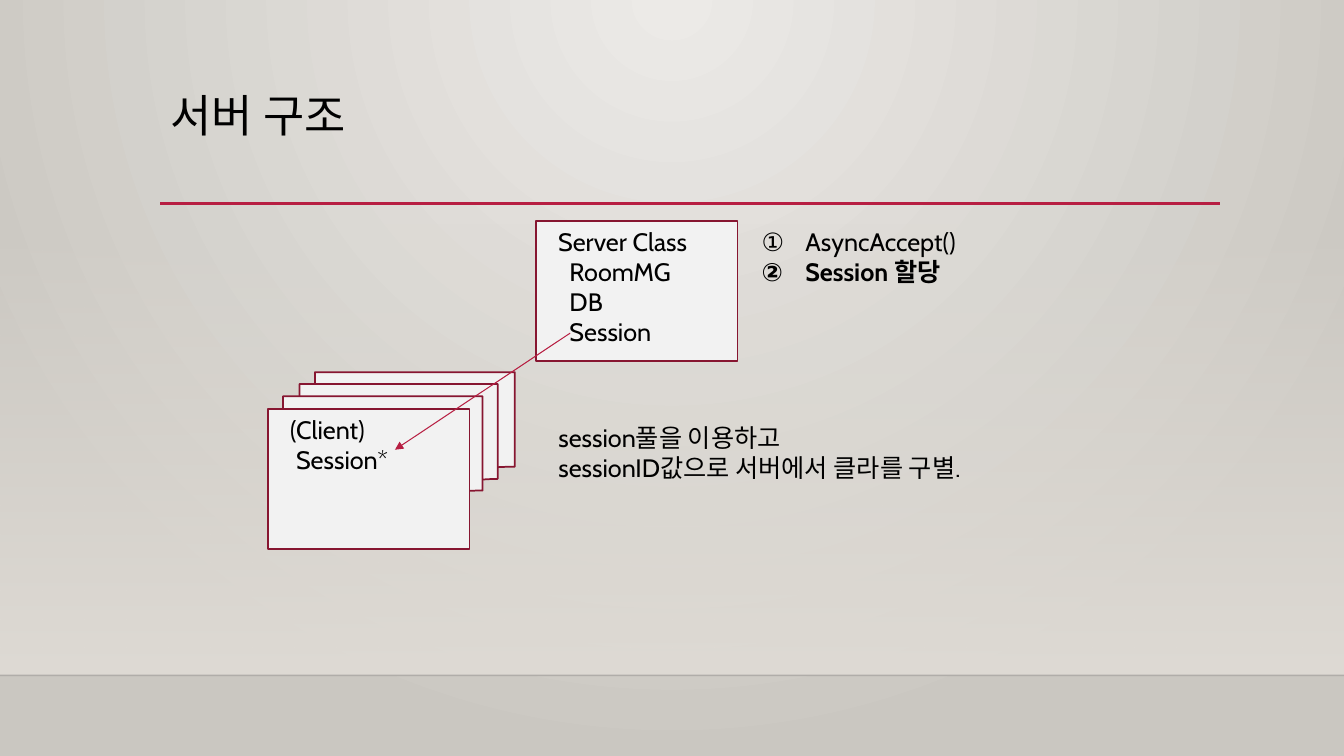
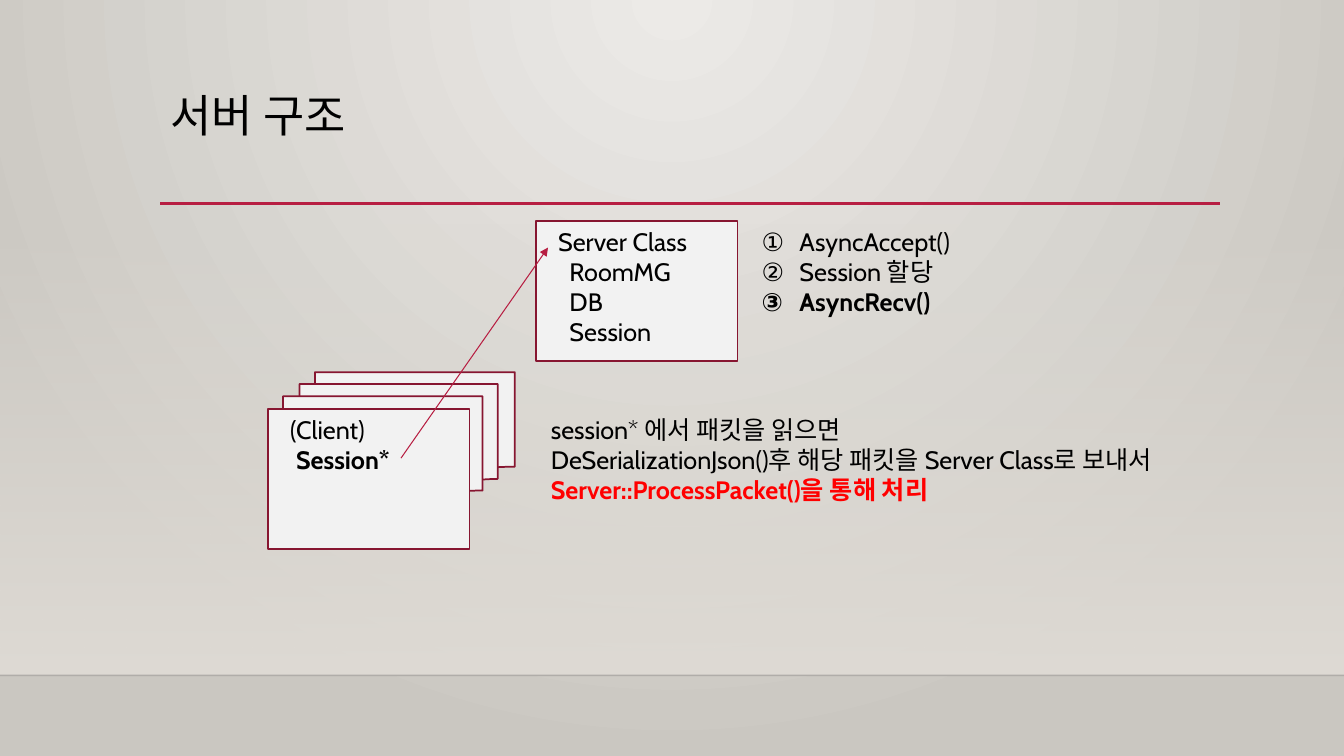
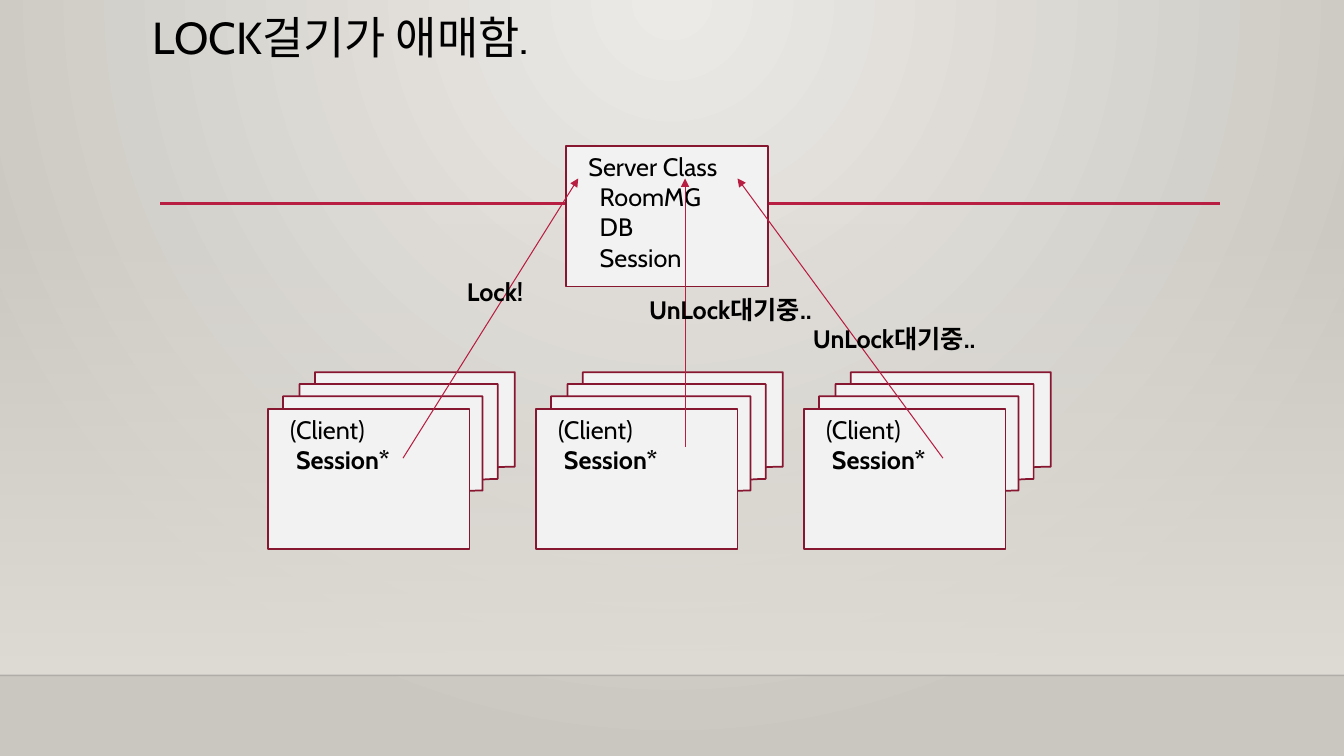
from dataclasses import dataclass

from pptx import Presentation
from pptx.dml.color import RGBColor
from pptx.enum.shapes import MSO_CONNECTOR as Connector, MSO_SHAPE as Preset
from pptx.enum.text import MSO_ANCHOR as Anchor, MSO_AUTO_SIZE as AutoSize, PP_ALIGN as Align
from pptx.oxml import parse_xml
from pptx.oxml.ns import nsdecls, qn
from pptx.oxml.xmlchemy import OxmlElement as make_element
from pptx.util import Inches, Pt

COLUMNS, ROWS = 160, 90
CELL = Inches(1) / 12
FONT = "Cabin"
BLACK, RED = "000000", "FF0000"
ACCENT, BORDER, PANEL = "B71E42", "871631", "F2F2F2"
TITLE_ONLY = 5


@dataclass
class Box:
    """A rectangle in columns and rows of the slide grid."""
    left: float
    top: float
    width: float
    height: float

    def emu(self):
        """Return the rectangle in slide units."""
        return [grid(value) for value in (self.left, self.top, self.width, self.height)]

    def at(self, across, down):
        """Return the point at these shares of the width and height."""
        return self.left + across * self.width, self.top + down * self.height


@dataclass
class Line:
    """One paragraph with its look."""
    text: str
    bold: bool = False
    color: str = BLACK
    indent: float = 0
    hanging: float = 0


TITLE_BOX = Box(19.1, 10.6, 126, 13.8)
SERVER_LINES = [Line("Server Class")] + [
    Line(member, indent=1.35) for member in ("RoomMG", "DB", "Session")]


def grid(cells):
    """Turn grid cells into slide units."""
    return round(cells * CELL)


def rgb(color):
    """Turn a hex string into a colour."""
    return RGBColor.from_string(color)


def paint_gradient(parent, stops, direction):
    """Replace the solid fill in parent by a gradient of (place, colour, opacity) stops."""
    marks = "".join(
        f'<a:gs pos="{place * 1000}"><a:srgbClr val="{color}">'
        f'<a:alpha val="{opacity * 1000}"/></a:srgbClr></a:gs>'
        for place, color, opacity in stops)
    gradient = parse_xml(
        f'<a:gradFill {nsdecls("a")} rotWithShape="1"><a:gsLst>{marks}</a:gsLst>'
        f'{direction}</a:gradFill>')
    parent.replace(parent.find(qn("a:solidFill")), gradient)


def add_line(page, start, end, color, width):
    """Draw a straight line between two grid points."""
    ends = [grid(value) for value in (*start, *end)]
    line = page.shapes.add_connector(Connector.STRAIGHT, *ends)
    line.line.color.rgb = rgb(color)
    line.line.width = Pt(width)
    line.element.spPr.append(make_element("a:effectLst"))
    return line


def add_arrow(page, start, end):
    """Draw a thin arrow between two grid points."""
    arrow = add_line(page, start, end, ACCENT, 0.75)
    head = make_element("a:tailEnd")
    head.set("type", "triangle")
    arrow.line._get_or_add_ln().append(head)


def add_panel(page, box, preset=Preset.RECTANGLE):
    """Draw a light shape with a dark border."""
    panel = page.shapes.add_shape(preset, *box.emu())
    panel.shadow.inherit = False
    panel.fill.solid()
    panel.fill.fore_color.rgb = rgb(PANEL)
    panel.line.color.rgb = rgb(BORDER)
    panel.line.width = Pt(1.25)
    return panel


def style_runs(para, size, color, bold=False):
    """Give the runs of a paragraph their font."""
    for span in para.runs:
        span.font.name = FONT
        span.font.size = Pt(size)
        span.font.bold = bold
        span.font.color.rgb = rgb(color)


def write_lines(frame, lines):
    """Fill a text frame with left-aligned lines."""
    frame.word_wrap = True
    frame.vertical_anchor = Anchor.TOP
    for index, line in enumerate(lines):
        para = frame.add_paragraph() if index else frame.paragraphs[0]
        para.text = line.text
        para.alignment = Align.LEFT
        style_runs(para, 18, line.color, line.bold)
        properties = para._p.get_or_add_pPr()
        properties.set("marL", str(grid(line.indent + line.hanging)))
        properties.set("indent", str(-grid(line.hanging)))
        if line.hanging:
            number = make_element("a:buAutoNum")
            number.set("type", "circleNumDbPlain")
            properties.append(number)


def add_text(page, box, lines):
    """Place a text box."""
    frame = page.shapes.add_textbox(*box.emu()).text_frame
    write_lines(frame, lines)
    frame.auto_size = AutoSize.SHAPE_TO_FIT_TEXT


def add_class_box(page, box, lines):
    """Draw a class as a panel with its members."""
    frame = add_panel(page, box).text_frame
    frame.margin_left = grid(2.65)
    write_lines(frame, lines)


def add_server(page, left, top):
    """Draw the server class and return its box."""
    box = Box(left, top, 24, 16.7)
    add_class_box(page, box, SERVER_LINES)
    return box


def add_client(page, left, bold=True):
    """Draw a stack of clients and return the box in front."""
    box = Box(left, 48.7, 24, 16.7)
    add_panel(page, Box(left + 1.8, box.top - 4.4, 27.6, 16.9), Preset.FLOWCHART_MULTIDOCUMENT)
    add_class_box(page, box, [Line("(Client)"), Line("Session*", bold, indent=0.7)])
    return box


def add_page(deck, title, box=None):
    """Add a slide with its title, moved if a box is given."""
    page = deck.slides.add_slide(deck.slide_layouts[TITLE_ONLY])
    heading = page.shapes.title
    if box:
        heading.left, heading.top, heading.width, heading.height = box.emu()
    heading.text_frame.text = title
    para = heading.text_frame.paragraphs[0]
    para.alignment = Align.LEFT
    para.line_spacing = 0.9
    style_runs(para, 32, BLACK)
    return page


def style_master(deck, page):
    """Set the master's background, title place and bands, drawn on page and moved."""
    master = deck.slide_master
    master.background.fill.solid()
    paint_gradient(
        master.element.find(".//" + qn("p:bgPr")),
        [(0, "ECEAE7", 100), (100, "CAC7C1", 100)],
        '<a:path path="circle"><a:fillToRect l="43000" t="0" r="43000" b="100000"/></a:path>')

    heading = master.placeholders[0]
    heading.left, heading.top, heading.width, heading.height = TITLE_BOX.emu()
    heading.text_frame.vertical_anchor = Anchor.TOP
    heading.text_frame.auto_size = AutoSize.NONE

    wall = page.shapes.add_shape(Preset.RECTANGLE, *Box(0, 26.5, COLUMNS, 53.9).emu())
    wall.shadow.inherit = False
    wall.line.fill.background()
    wall.fill.solid()
    paint_gradient(wall.element.spPr, [(0, "DFDBD5", 0), (100, "DFDBD5", 100)],
                   '<a:lin ang="5400000" scaled="0"/>')

    floor = add_line(page, (0, 80.4), (COLUMNS, 80.4), "000001", 1)
    alpha = make_element("a:alpha")
    alpha.set("val", "20000")
    floor.element.spPr.find(".//" + qn("a:srgbClr")).append(alpha)
    rule = add_line(page, (19.1, 24.2), (145.2, 24.2), ACCENT, 2.5)

    for index, part in enumerate((wall, floor, rule)):
        part.element.find(".//" + qn("p:cNvPr")).set("id", str(100 + index))
        master.shapes.element.insert(2 + index, part.element)


def fill_structure(page, bold_client, steps, hanging, note_box, note):
    """Draw server, client, numbered steps and a note; return server and client boxes."""
    client = add_client(page, 31.9, bold_client)
    server = add_server(page, 63.8, 26.3)
    last = len(steps) - 1
    add_text(page, Box(89.5, server.top, 36, 1.2 + 3.64 * len(steps)),
             [Line(step, index == last, hanging=hanging) for index, step in enumerate(steps)])
    add_text(page, note_box, note)
    return server, client


def fill_locks(page):
    """Draw three clients that wait for one server lock."""
    server = add_server(page, 67.4, 17.4)
    waiting = "UnLock대기중.."
    links = [
        ((0.67, 0.35), 0.06, "Lock!", (54.4, 32.3)),
        ((0.74, 0.27), 0.59, waiting, (76.1, 34.4)),
        ((0.69, 0.35), 0.85, waiting, (95.6, 37.9)),
    ]
    clients = [add_client(page, 31.9 * (index + 1)) for index in range(len(links))]
    for client, (start, across, label, place) in zip(clients, links):
        add_arrow(page, client.at(*start), server.at(across, 0.23))
        add_text(page, Box(*place, 26.3, 4.8), [Line(label, bold=True)])


def main():
    """Build and save the deck."""
    deck = Presentation()
    deck.slide_width, deck.slide_height = grid(COLUMNS), grid(ROWS)

    accept = add_page(deck, "서버 구조")
    style_master(deck, accept)
    server, client = fill_structure(
        accept, False, ["AsyncAccept()", "Session 할당"], 5.2, Box(65.3, 49.7, 53.5, 8.5),
        [Line("session풀을 이용하고"), Line("sessionID값으로 서버에서 클라를 구별.")])
    add_arrow(accept, server.at(0.17, 0.8), client.at(0.63, 0.29))

    receive = add_page(deck, "서버 구조")
    server, client = fill_structure(
        receive, True, ["AsyncAccept()", "Session 할당", "AsyncRecv()"], 4.5,
        Box(64.4, 48.7, 81.2, 12.1),
        [Line("session* 에서 패킷을 읽으면"),
         Line("DeSerializationJson()후 해당 패킷을 Server Class로 보내서"),
         Line("Server::ProcessPacket()을 통해 처리", True, RED)])
    add_arrow(receive, client.at(0.66, 0.35), server.at(0.06, 0.19))

    fill_locks(add_page(deck, "LOCK걸기가 애매함.", Box(17, 1.3, 126, 13.8)))
    deck.save("out.pptx")


if __name__ == "__main__":
    main()
